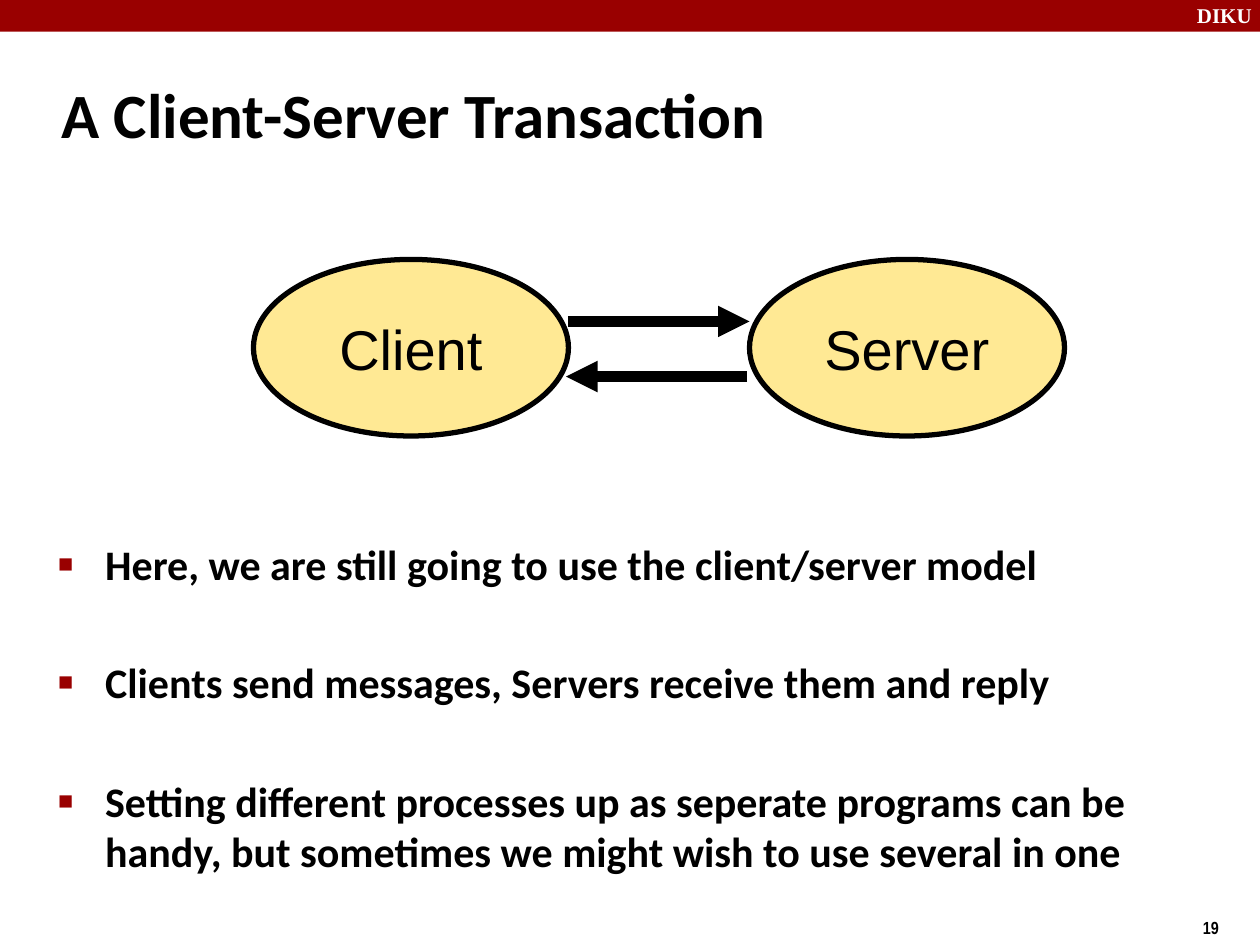
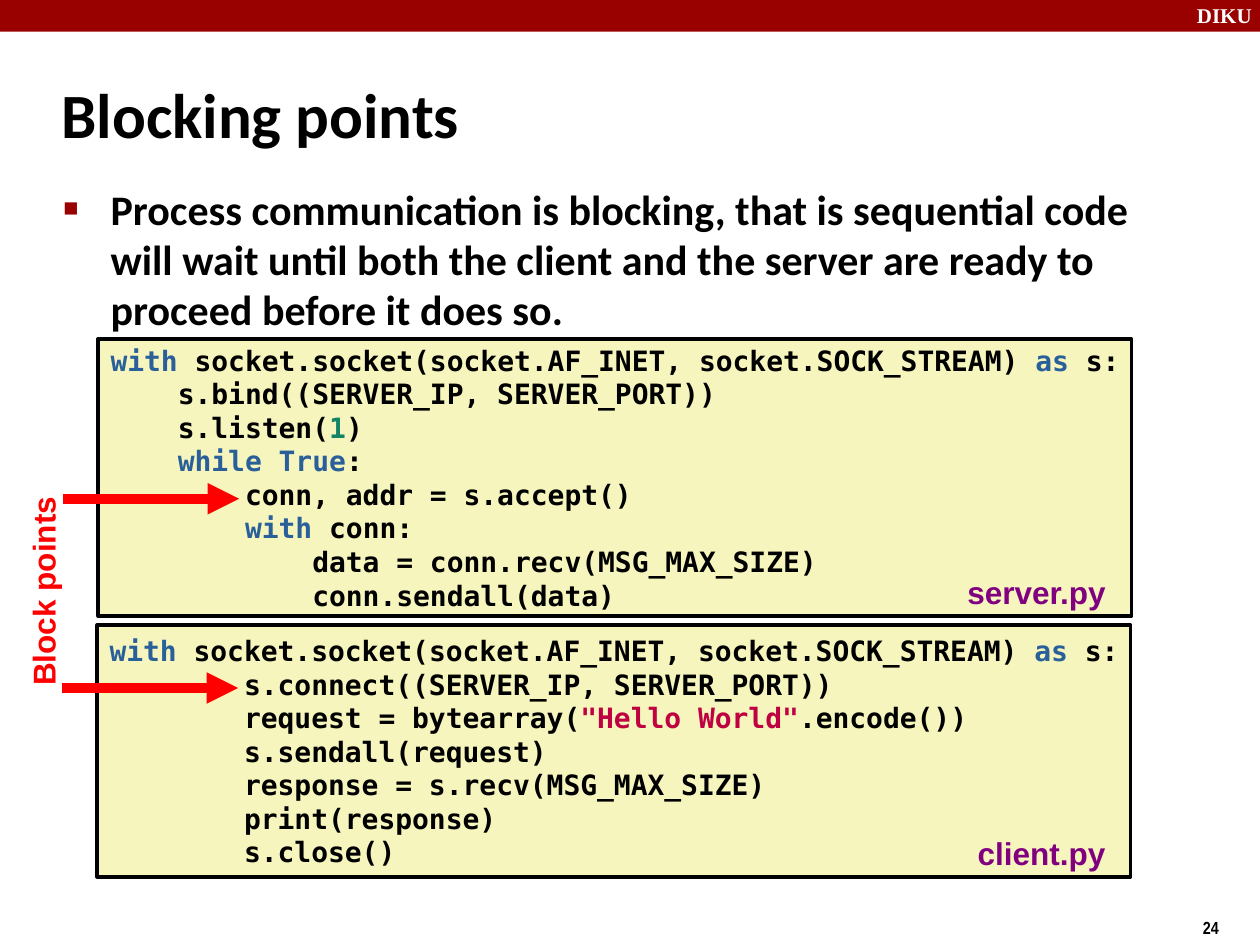
import pptx
import pptx.dml.color
import pptx.enum.shapes
import pptx.enum.text
import pptx.oxml
import pptx.oxml.ns
import pptx.util
from pptx.util import Cm

RGBColor = pptx.dml.color.RGBColor
SHAPE = pptx.enum.shapes.MSO_SHAPE
ALIGN = pptx.enum.text.PP_ALIGN
ANCHOR = pptx.enum.text.MSO_ANCHOR

BLACK = RGBColor(0x00, 0x00, 0x00)
WHITE = RGBColor(0xFF, 0xFF, 0xFF)
BAND_RED = RGBColor(0x99, 0x00, 0x00)
NODE_YELLOW = RGBColor(0xFF, 0xE9, 0x94)
CODE_CREAM = RGBColor(0xF6, 0xF5, 0xBD)
KEYWORD = RGBColor(0x2A, 0x60, 0x99)
NUMBER = RGBColor(0x15, 0x84, 0x66)
STRING = RGBColor(0xBF, 0x00, 0x41)
FILE_PURPLE = RGBColor(0x80, 0x00, 0x80)
ALERT_RED = RGBColor(0xFF, 0x00, 0x00)

TITLE_STYLE = dict(name="Calibri", size=36, bold=True, color=BLACK)
BODY_STYLE = dict(name="Calibri", size=24, bold=True, color=BLACK)
BAND_STYLE = dict(name="Times New Roman", size=12, bold=True, color=WHITE)
NUMBER_STYLE = dict(name="Arial Narrow", size=10, bold=True, color=BLACK)
NODE_STYLE = dict(name="Arial", size=32, bold=False, color=BLACK)
CODE_STYLE = dict(name="DejaVu Sans Mono", size=16, bold=True, color=BLACK)
FILE_STYLE = dict(name="Arial", size=18, bold=True, color=FILE_PURPLE)
ALERT_STYLE = dict(FILE_STYLE, color=ALERT_RED)

TITLE_BOX = (0.99, 1.22, 21.08, 2.11)
BODY_WIDTH, BODY_HEIGHT = 22.78, 7.16
CODE_LINE = 0.68

SOCKET_LINE = [
    ("with", KEYWORD),
    (" socket.socket(socket.AF_INET, socket.SOCK_STREAM) ", BLACK),
    ("as", KEYWORD),
    (" s:", BLACK),
]
SERVER_CODE = [
    SOCKET_LINE,
    [("    s.bind((SERVER_IP, SERVER_PORT))", BLACK)],
    [("    s.listen(", BLACK), ("1", NUMBER), (")", BLACK)],
    [("    ", BLACK), ("while True", KEYWORD), (":", BLACK)],
    [("        conn, addr = s.accept()", BLACK)],
    [("        ", BLACK), ("with", KEYWORD), (" conn:", BLACK)],
    [("            data = conn.recv(MSG_MAX_SIZE)", BLACK)],
    [("            conn.sendall(data)", BLACK)],
]
CLIENT_CODE = [
    SOCKET_LINE,
    [("        s.connect((SERVER_IP, SERVER_PORT))", BLACK)],
    [("        request = bytearray(", BLACK), ('"Hello World"', STRING),
     (".encode())", BLACK)],
    [("        s.sendall(request)", BLACK)],
    [("        response = s.recv(MSG_MAX_SIZE)", BLACK)],
    [("        print(response)", BLACK)],
    [("        s.close()", BLACK)],
]


def lengths(box):
    """Turn a box in centimetres into lengths."""
    return [Cm(value) for value in box]


def add_span(para, text, style):
    """Append a formatted run to a paragraph."""
    span = para.add_run()
    span.text = text
    formats = dict(style, size=pptx.util.Pt(style["size"]))
    span.font.color.rgb = formats.pop("color")
    for key, value in formats.items():
        setattr(span.font, key, value)


def set_frame(frame, wrap=True, anchor=ANCHOR.TOP):
    """Give a text frame its wrapping, anchor and margins."""
    formats = dict(
        word_wrap=wrap, vertical_anchor=anchor,
        auto_size=pptx.enum.text.MSO_AUTO_SIZE.NONE,
        margin_left=Cm(0.25), margin_right=Cm(0.25),
        margin_top=Cm(0.13), margin_bottom=Cm(0.13),
    )
    for key, value in formats.items():
        setattr(frame, key, value)


def place(shape, box):
    """Move a placeholder into a box."""
    for key, value in zip(("left", "top", "width", "height"), lengths(box)):
        setattr(shape, key, value)


def add_label(page, box, text, style):
    """Add a text box with one line."""
    label = page.shapes.add_textbox(*lengths(box))
    set_frame(label.text_frame)
    add_span(label.text_frame.paragraphs[0], text, style)
    return label


def add_panel(page, kind, box, fill, line_width=0):
    """Add a filled shape, outlined in black when a line width is given."""
    panel = page.shapes.add_shape(kind, *lengths(box))
    panel.shadow.inherit = False
    panel.fill.solid()
    panel.fill.fore_color.rgb = fill
    if line_width:
        panel.line.color.rgb = BLACK
        panel.line.width = pptx.util.Pt(line_width)
    else:
        panel.line.fill.background()
    return panel


def add_arrow(page, start, end, y, color):
    """Add a thick horizontal arrow."""
    arrow = page.shapes.add_connector(
        pptx.enum.shapes.MSO_CONNECTOR.STRAIGHT, *lengths((start, y, end, y)))
    arrow.line.color.rgb = color
    arrow.line.width = pptx.util.Pt(6)
    head = pptx.oxml.parse_xml(
        f'<a:tailEnd {pptx.oxml.ns.nsdecls("a")} type="triangle"/>')
    arrow.line._get_or_add_ln().append(head)
    arrow._element.spPr.append(
        pptx.oxml.parse_xml(f'<a:effectLst {pptx.oxml.ns.nsdecls("a")}/>'))


def add_page(deck, title, number):
    """Add a slide with the band, title and page number."""
    page = deck.slides.add_slide(deck.slide_layouts[1])
    add_panel(page, SHAPE.RECTANGLE, (0, 0, 25.4, 0.64), BAND_RED)
    add_label(page, (23.88, -0.08, 1.7, 0.76), "DIKU", BAND_STYLE)
    add_label(page, (24, 18.36, 1.4, 0.69), number, NUMBER_STYLE)
    heading = page.shapes.title
    place(heading, TITLE_BOX)
    set_frame(heading.text_frame, anchor=ANCHOR.MIDDLE)
    para = heading.text_frame.paragraphs[0]
    para.alignment = ALIGN.LEFT
    add_span(para, title, TITLE_STYLE)
    return page


def fill_body(page, left, top, items):
    """Write the bullet list into the body placeholder."""
    body = page.placeholders[1]
    place(body, (left, top, BODY_WIDTH, BODY_HEIGHT))
    set_frame(body.text_frame)
    for index, item in enumerate(items):
        para = (body.text_frame.add_paragraph() if index
                else body.text_frame.paragraphs[0])
        para.space_before = pptx.util.Pt(38.9 if index else 4.8)
        add_span(para, item, BODY_STYLE)
        props = para._p.get_or_add_pPr()
        props.set("marL", str(Cm(0.96)))
        props.set("indent", str(Cm(-0.95)))
        for tag in (f'buClr {{}}><a:srgbClr val="{BAND_RED}"/></a:buClr>',
                    'buSzPct {} val="60000"/>',
                    'buFont {} typeface="Arial"/>',
                    'buChar {} char="■"/>'):
            props.append(pptx.oxml.parse_xml(
                "<a:" + tag.format(pptx.oxml.ns.nsdecls("a"))))


def add_exchange(page, left, top):
    """Draw the client and server ovals with an arrow each way."""
    width, height, step = 6.35, 3.56, 10
    for index, name in enumerate(("Client", "Server")):
        box = (left + index * step, top, width, height)
        node = add_panel(page, SHAPE.OVAL, box, NODE_YELLOW, 3)
        set_frame(node.text_frame, wrap=False, anchor=ANCHOR.MIDDLE)
        para = node.text_frame.paragraphs[0]
        para.alignment = ALIGN.CENTER
        add_span(para, name, NODE_STYLE)
    add_arrow(page, left + width, left + step, top + 1.25, BLACK)
    add_arrow(page, left + step - 0.05, left + width - 0.05, top + 2.36, BLACK)


def add_listing(page, box, code, file_name, label_width, blocking_row):
    """Draw a code panel, its file name and the arrow to its blocking line."""
    left, top, width, height = box
    panel = add_panel(page, SHAPE.RECTANGLE, box, CODE_CREAM, 2)
    frame = panel.text_frame
    set_frame(frame, wrap=False, anchor=ANCHOR.MIDDLE)
    for index, line in enumerate(code):
        para = frame.add_paragraph() if index else frame.paragraphs[0]
        para.alignment = ALIGN.LEFT
        for text, color in line:
            add_span(para, text, dict(CODE_STYLE, color=color))
    label_box = (left + width - label_width, top + height - 1, label_width, 1)
    add_label(page, label_box, file_name, FILE_STYLE)
    first_line = top + (height - len(code) * CODE_LINE) / 2
    y = first_line + (blocking_row + 0.5) * CODE_LINE + 0.09
    add_arrow(page, left - 0.72, left + 2.84, y, ALERT_RED)


def build_transaction(deck):
    """Build the slide on the client-server model."""
    page = add_page(deck, "A Client-Server Transaction", "19")
    add_exchange(page, 5.11, 5.23)
    fill_body(page, 0.91, 10.72, [
        "Here, we are still going to use the client/server model",
        "Clients send messages, Servers receive them and reply",
        "Setting different processes up as seperate programs can be handy, "
        "but sometimes we might wish to use several in one",
    ])


def build_blocking(deck):
    """Build the slide on blocking calls."""
    page = add_page(deck, "Blocking points", "24")
    fill_body(page, 1.02, 3.56, [
        "Process communication is blocking, that is sequential code will wait "
        "until both the client and the server are ready to proceed before it "
        "does so.",
    ])
    add_listing(page, (1.98, 6.83, 20.83, 5.59), SERVER_CODE,
                "server.py", 3.56, 4)
    add_listing(page, (1.96, 12.6, 20.83, 5.08), CLIENT_CODE,
                "client.py", 3.33, 1)
    caption = add_label(page, (-1.09, 10.95, 4.57, 1.68),
                        "Block points", ALERT_STYLE)
    caption.rotation = 270


def main():
    """Build and save the deck."""
    deck = pptx.Presentation()
    deck.slide_width, deck.slide_height = Cm(25.4), Cm(19.05)
    build_transaction(deck)
    build_blocking(deck)
    deck.save("out.pptx")


if __name__ == "__main__":
    main()
